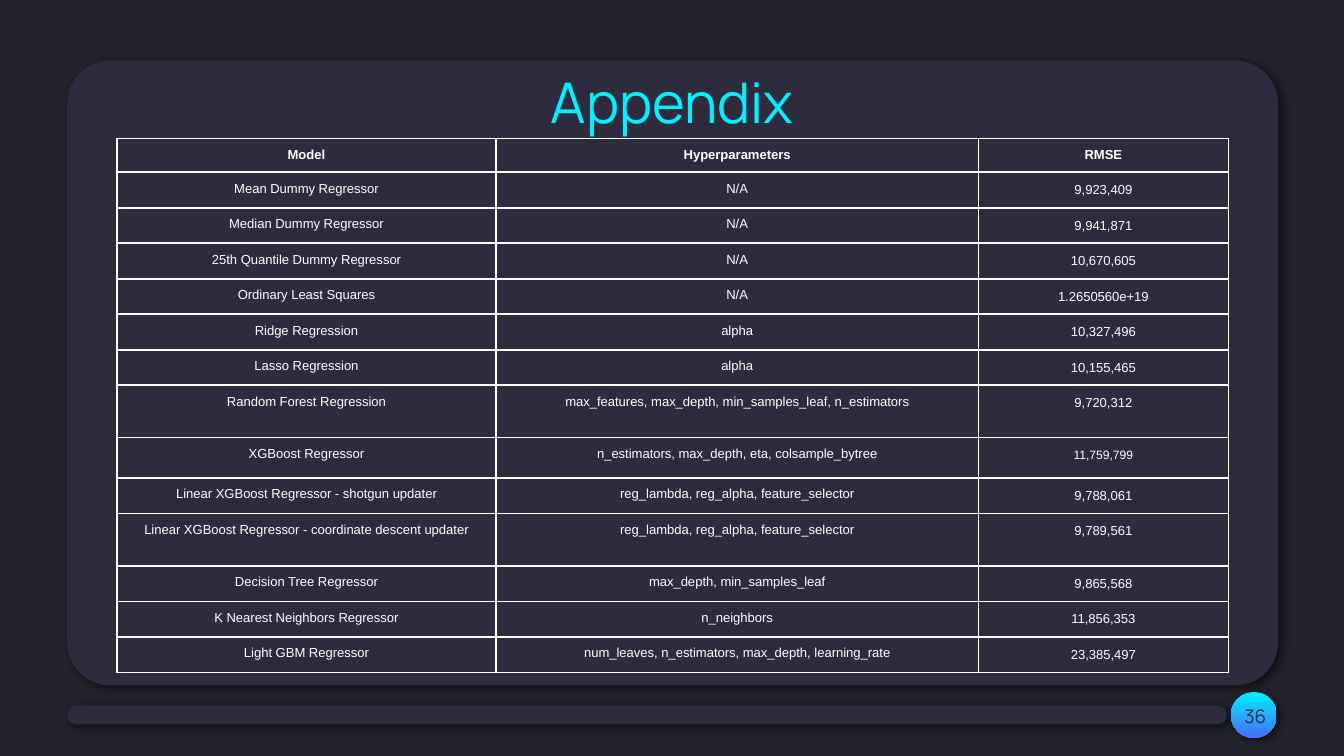
from lxml import etree
from pptx import Presentation
from pptx.dml.color import RGBColor
from pptx.enum.shapes import MSO_SHAPE
from pptx.enum.text import MSO_ANCHOR, PP_ALIGN
from pptx.oxml import parse_xml
from pptx.oxml.ns import nsdecls
from pptx.util import Inches, Pt

ROUNDED, OVAL = MSO_SHAPE.ROUNDED_RECTANGLE, MSO_SHAPE.OVAL
TOP, MIDDLE = MSO_ANCHOR.TOP, MSO_ANCHOR.MIDDLE
CENTER = PP_ALIGN.CENTER
COLORS = {"bg": "23232E", "panel": "2C2C3E", "cyan": "01F0FD",
          "blue": "476DFA", "white": "FFFFFF"}


def write(tf, text, size, color, font="Arial", bold=False, spacing=None):
    p = tf.paragraphs[0]
    p.alignment = CENTER
    if spacing:
        p.line_spacing = spacing
    r = p.add_run()
    r.text = text
    r.font.name = font
    r.font.size = Pt(size)
    r.font.bold = bold
    r.font.color.rgb = RGBColor.from_string(COLORS[color])


prs = Presentation()
prs.slide_width = Inches(10)
prs.slide_height = Inches(10 * 9 / 16)
s = prs.slides.add_slide(prs.slide_layouts[6])
s.background.fill.solid()
s.background.fill.fore_color.rgb = RGBColor.from_string(COLORS["bg"])

# Panel, footer bar and page badge, each with a soft shadow
for kind, box, radius, blur in [
    (ROUNDED, (0.5, 0.45, 9.01, 4.65), 0.069, 5.6),
    (ROUNDED, (0.5, 5.25, 8.63, 0.14), 0.5, 5.6),
    (OVAL, (9.16, 5.15, 0.34, 0.34), None, 4.5),
]:
    sp = s.shapes.add_shape(kind, *[Inches(v) for v in box])
    sp.line.fill.background()
    if kind == OVAL:
        sp.fill.gradient()
        sp.fill.gradient_angle = 270
        for stop, name in zip(sp.fill.gradient_stops, ("cyan", "blue")):
            stop.color.rgb = RGBColor.from_string(COLORS[name])
    else:
        sp.adjustments[0] = radius
        sp.fill.solid()
        sp.fill.fore_color.rgb = RGBColor.from_string(COLORS["panel"])
    sp.shadow.inherit = False
    effects = sp._element.spPr.find("{*}effectLst")
    effects.append(parse_xml(
        f'<a:outerShdw {nsdecls("a")} blurRad="{Pt(blur)}" dist="{Pt(2.2)}" '
        f'dir="{33 * 60000}" algn="bl" rotWithShape="0"><a:srgbClr val="000000">'
        '<a:alpha val="60000"/></a:srgbClr></a:outerShdw>'))

# Page number and title
for text, box, size, color, anchor in [
    ("36", (9.04, 5.11, 0.6, 0.43), 10, "panel", MIDDLE),
    ("Appendix", (0.87, 0.4, 8.26, 0.63), 30, "cyan", TOP),
]:
    tf = s.shapes.add_textbox(*[Inches(v) for v in box]).text_frame
    tf.word_wrap = True
    tf.vertical_anchor = anchor
    tf.margin_left = tf.margin_right = Inches(0.1)
    tf.margin_top = tf.margin_bottom = Inches(0.1)
    write(tf, text, size, color, font="Manrope")

# Model results
ROWS = [
    ("Model", "Hyperparameters", "RMSE"),
    ("Mean Dummy Regressor", "N/A", "9,923,409"),
    ("Median Dummy Regressor", "N/A", "9,941,871"),
    ("25th Quantile Dummy Regressor", "N/A", "10,670,605"),
    ("Ordinary Least Squares", "N/A", "1.2650560e+19"),
    ("Ridge Regression", "alpha", "10,327,496"),
    ("Lasso Regression", "alpha", "10,155,465"),
    ("Random Forest Regression",
     "max_features, max_depth, min_samples_leaf, n_estimators", "9,720,312"),
    ("XGBoost Regressor", "n_estimators, max_depth, eta, colsample_bytree", "11,759,799"),
    ("Linear XGBoost Regressor - shotgun updater",
     "reg_lambda, reg_alpha, feature_selector", "9,788,061"),
    ("Linear XGBoost Regressor - coordinate descent updater",
     "reg_lambda, reg_alpha, feature_selector", "9,789,561"),
    ("Decision Tree Regressor", "max_depth, min_samples_leaf", "9,865,568"),
    ("K Nearest Neighbors Regressor", "n_neighbors", "11,856,353"),
    ("Light GBM Regressor", "num_leaves, n_estimators, max_depth, learning_rate", "23,385,497"),
]
COL_WIDTHS = (2.82, 3.59, 1.86)
ROW_HEIGHT = 0.26
SPECIAL_HEIGHTS = {0: 0.25, 7: 0.39, 8: 0.3, 10: 0.39}
CELL_MARGIN = Pt(4.86)
heights = [SPECIAL_HEIGHTS.get(i, ROW_HEIGHT) for i in range(len(ROWS))]

table = s.shapes.add_table(len(ROWS), len(COL_WIDTHS), Inches(0.87), Inches(1.03),
                           Inches(sum(COL_WIDTHS)), Inches(sum(heights))).table
table.first_row = table.horz_banding = False
for col, width in zip(table.columns, COL_WIDTHS):
    col.width = Inches(width)
for i, (values, height) in enumerate(zip(ROWS, heights)):
    table.rows[i].height = Inches(height)
    for j, text in enumerate(values):
        cell = table.cell(i, j)
        cell.margin_left = cell.margin_right = CELL_MARGIN
        cell.margin_top = cell.margin_bottom = CELL_MARGIN
        small = text == "11,759,799"
        spacing = (1.16 if small else 1.11) if i and j == 2 else None
        write(cell.text_frame, text, 6.5 if small else 7, "white",
              bold=i == 0, spacing=spacing)
        tcPr = cell._tc.get_or_add_tcPr()
        for side in ("lnL", "lnR", "lnT", "lnB"):
            etree.SubElement(tcPr, "{%s}%s" % (tcPr.nsmap["a"], side), w=str(Pt(1))).append(
                parse_xml(f'<a:solidFill {nsdecls("a")}><a:srgbClr val="{COLORS["white"]}"/>'
                          '</a:solidFill>'))
        cell.fill.background()

prs.save("out.pptx")
